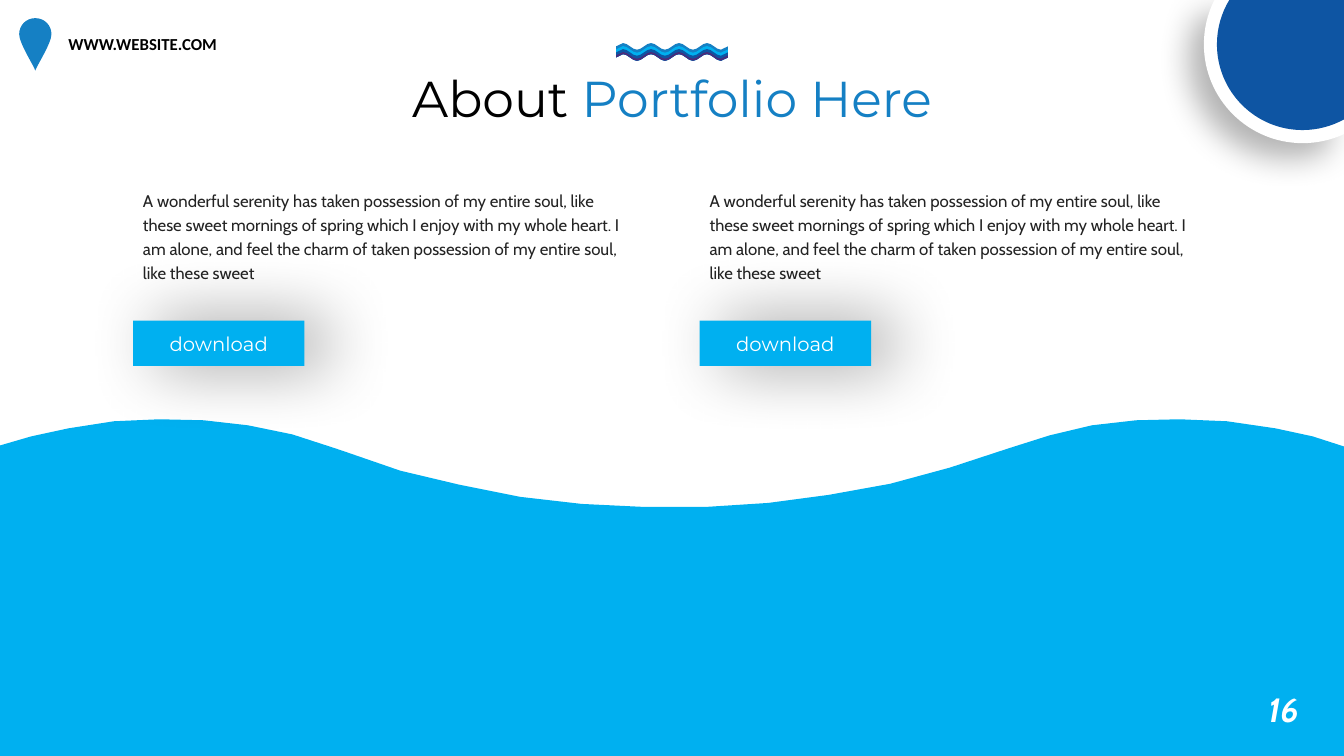
from dataclasses import dataclass
from itertools import pairwise
from math import acos, asin, cos, pi, sin, tan
from typing import Optional, Sequence

from lxml.etree import Element, SubElement
from pptx import Presentation
from pptx.dml.color import RGBColor
from pptx.enum.shapes import MSO_SHAPE
from pptx.enum.text import MSO_ANCHOR, MSO_AUTO_SIZE, PP_ALIGN
from pptx.oxml.ns import qn
from pptx.shapes.base import BaseShape
from pptx.slide import Slide
from pptx.text.text import TextFrame, _Paragraph
from pptx.util import Emu, Pt

PX = 9144  # EMU per px, 100 px to the inch
SLIDE_WIDTH, SLIDE_HEIGHT = 1333, 750
COLOURS = {
    "black": "000000", "white": "FFFFFF", "text": "232323",
    "sky": "00B0F0", "blue": "1580C4", "navy": "0E55A3", "purple": "4A2C7B",
}
DESCRIPTION = (
    "A wonderful serenity has taken possession of my entire soul, like these sweet "
    "mornings of spring which I enjoy with my whole heart. I am alone, and feel the "
    "charm of taken possession of my entire soul, like these sweet"
)
Point = tuple[float, float]


@dataclass(frozen=True)
class Box:
    left: int
    top: int
    width: int
    height: int

    def emu(self) -> list[Emu]:
        return [px(length) for length in (self.left, self.top, self.width, self.height)]


@dataclass(frozen=True)
class TextStyle:
    font: str
    size: int
    colour: str
    bold: bool = False
    italic: bool = False


@dataclass(frozen=True)
class Segment:
    """A line to end, or a curve when it has two control points."""
    end: Point
    controls: tuple[Point, ...] = ()


@dataclass(frozen=True)
class Shadow:
    opacity: int
    blur: int
    distance: int
    direction: int


@dataclass(frozen=True)
class Disc:
    radius: int
    colour: str
    shadow: Optional[Shadow] = None


BUTTON_SHADOW = Shadow(40, 50, 16, 0)
DISCS = (Disc(98, "white", Shadow(29, 23, 15, 135)), Disc(85, "navy"))
COLUMN_LEFTS = (132, 694)
RIBBON_COLOURS = ("blue", "sky", "navy", "purple")
SEA = (
    (0, 442), (31, 433), (68, 425), (113, 418), (158, 416), (202, 417), (246, 422),
    (290, 431), (333, 445), (339, 447), (397, 467), (456, 481), (516, 493), (577, 500),
    (639, 503), (700, 503), (762, 499), (822, 491), (883, 480), (942, 464), (1000, 445),
    (1041, 432), (1083, 422), (1127, 417), (1170, 416), (1217, 418), (1265, 425),
    (1302, 433), (SLIDE_WIDTH, 443), (SLIDE_WIDTH, SLIDE_HEIGHT), (0, SLIDE_HEIGHT),
)
PIN = (
    Segment((51, 34), ((44, 18), (51, 25))),
    Segment((35, 70), ((51, 43), (36, 66))),
    Segment((19, 34), ((34, 66), (19, 43))),
    Segment((35, 18), ((19, 25), (26, 18))),
)


def px(length: float) -> Emu:
    return Emu(round(length * PX))


def rgb(colour: str) -> RGBColor:
    return RGBColor.from_string(COLOURS[colour])


def paint(shape: BaseShape, colour: str, shadow: Optional[Shadow] = None) -> None:
    """Give a shape a plain fill, no outline and an optional soft shadow."""
    shape.fill.solid()
    shape.fill.fore_color.rgb = rgb(colour)
    shape.line.fill.background()
    shape.shadow.inherit = False
    if shadow:
        effects = shape._element.spPr.find(qn("a:effectLst"))
        outer = SubElement(
            effects, qn("a:outerShdw"), blurRad=str(Pt(shadow.blur)),
            dist=str(Pt(shadow.distance)), dir=str(shadow.direction * 60000),
            algn="ctr", rotWithShape="0",
        )
        shade = SubElement(outer, qn("a:srgbClr"), val=COLOURS["black"])
        SubElement(shade, qn("a:alpha"), val=str(shadow.opacity * 1000))


def add_outline(slide: Slide, start: Point, segments: Sequence[Segment], colour: str,
                shadow: Optional[Shadow] = None) -> None:
    builder = slide.shapes.build_freeform(px(start[0]), px(start[1]))
    builder.add_line_segments([(px(x), px(y)) for x, y in (s.end for s in segments)])
    shape = builder.convert_to_shape()
    steps = list(shape._element.spPr.iter(qn("a:lnTo")))
    for step, segment in zip(steps, segments):
        if segment.controls:
            step.tag = qn("a:cubicBezTo")
        for index, (x, y) in enumerate(segment.controls):
            step.insert(index, Element(qn("a:pt"), x=str(px(x) - shape.left),
                                       y=str(px(y) - shape.top)))
    paint(shape, colour, shadow)


def add_run(paragraph: _Paragraph, text: str, style: TextStyle) -> None:
    run = paragraph.add_run()
    run.text = text
    run.font.name = style.font
    run.font.size = Pt(style.size)
    run.font.bold = style.bold
    run.font.italic = style.italic
    run.font.color.rgb = rgb(style.colour)


def add_text(slide: Slide, box: Box, text: str, style: TextStyle,
             wrap: bool = True) -> TextFrame:
    frame = slide.shapes.add_textbox(*box.emu()).text_frame
    frame.word_wrap = wrap
    add_run(frame.paragraphs[0], text, style)
    return frame


def add_title(slide: Slide) -> None:
    title = slide.shapes.title
    title.left, title.top, title.width, title.height = Box(377, 62, 579, 71).emu()
    frame = title.text_frame
    frame.word_wrap = False
    frame.auto_size = MSO_AUTO_SIZE.NONE
    frame.vertical_anchor = MSO_ANCHOR.TOP
    paragraph = frame.paragraphs[0]
    paragraph.alignment = PP_ALIGN.CENTER
    add_run(paragraph, "About ", TextStyle("Montserrat", 36, "black"))
    add_run(paragraph, "Portfolio Here", TextStyle("Montserrat", 36, "blue"))


def add_corner_disc(slide: Slide, disc: Disc) -> None:
    """Draw the part of a disc that lies inside the slide's top right corner."""
    centre_x, centre_y = 1292, 44

    def at(angle: float, pull: float = 0) -> Point:
        """A point on the circle, moved along its tangent by pull radii."""
        return (centre_x + disc.radius * (cos(angle) - pull * sin(angle)),
                centre_y + disc.radius * (sin(angle) + pull * cos(angle)))

    first = acos((SLIDE_WIDTH - centre_x) / disc.radius)
    last = pi + asin(centre_y / disc.radius)
    segments = []
    for begin, end in pairwise((first, pi / 2, pi, last)):
        pull = 4 / 3 * tan((end - begin) / 4)
        segments.append(Segment(at(end), (at(begin, pull), at(end, -pull))))
    corner = Segment((SLIDE_WIDTH, 0))
    add_outline(slide, at(first), [*segments, corner, Segment(at(first))],
                disc.colour, disc.shadow)


def wave(points: Sequence[Point]) -> list[Segment]:
    """Join crests and troughs by curves that are level at both ends."""
    return [Segment((x2, y2), ((x1 + 0.36 * (x2 - x1), y1), (x2 - 0.36 * (x2 - x1), y2)))
            for (x1, y1), (x2, y2) in pairwise(points)]


def add_ribbon(slide: Slide, top: int, bottom: int, colour: str) -> None:
    left, right, half_period = 611, 722, 13.88
    upper, lower = (
        [(left, base),
         *((left + half_period * (turn + 0.5), base + (3.3 if turn % 2 else -3.3))
           for turn in range(8)),
         (right, base)]
        for base in (top, bottom))
    add_outline(slide, upper[0],
                [*wave(upper), Segment(lower[-1]), *wave(lower[::-1]), Segment(upper[0])],
                colour)


def add_column(slide: Slide, left: int) -> None:
    frame = add_text(slide, Box(left, 180, 507, 105), DESCRIPTION,
                     TextStyle("Cabin", 12, "text"))
    frame.paragraphs[0].line_spacing = 1.2
    button = slide.shapes.add_shape(MSO_SHAPE.RECTANGLE, *Box(left, 318, 170, 45).emu())
    paint(button, "sky", BUTTON_SHADOW)
    button.text_frame.vertical_anchor = MSO_ANCHOR.MIDDLE
    label = button.text_frame.paragraphs[0]
    label.alignment = PP_ALIGN.CENTER
    add_run(label, "download", TextStyle("Montserrat", 14, "white"))


def main() -> None:
    presentation = Presentation()
    presentation.slide_width, presentation.slide_height = px(SLIDE_WIDTH), px(SLIDE_HEIGHT)
    slide = presentation.slides.add_slide(presentation.slide_layouts[5])
    add_outline(slide, SEA[0], [Segment(point) for point in (*SEA[1:], SEA[0])], "sky")
    add_text(slide, Box(1248, 679, 59, 50), "16",
             TextStyle("Cabin", 24, "white", bold=True, italic=True), wrap=False)
    add_outline(slide, PIN[-1].end, PIN, "blue")
    add_text(slide, Box(58, 29, 253, 30), "WWW.WEBSITE.COM",
             TextStyle("Calibri", 12, "black", bold=True))
    for disc in DISCS:
        add_corner_disc(slide, disc)
    add_title(slide)
    for index, colour in enumerate(RIBBON_COLOURS):
        add_ribbon(slide, 46 + 3 * index, 57, colour)
    for left in COLUMN_LEFTS:
        add_column(slide, left)
    presentation.save("out.pptx")


if __name__ == "__main__":
    main()
